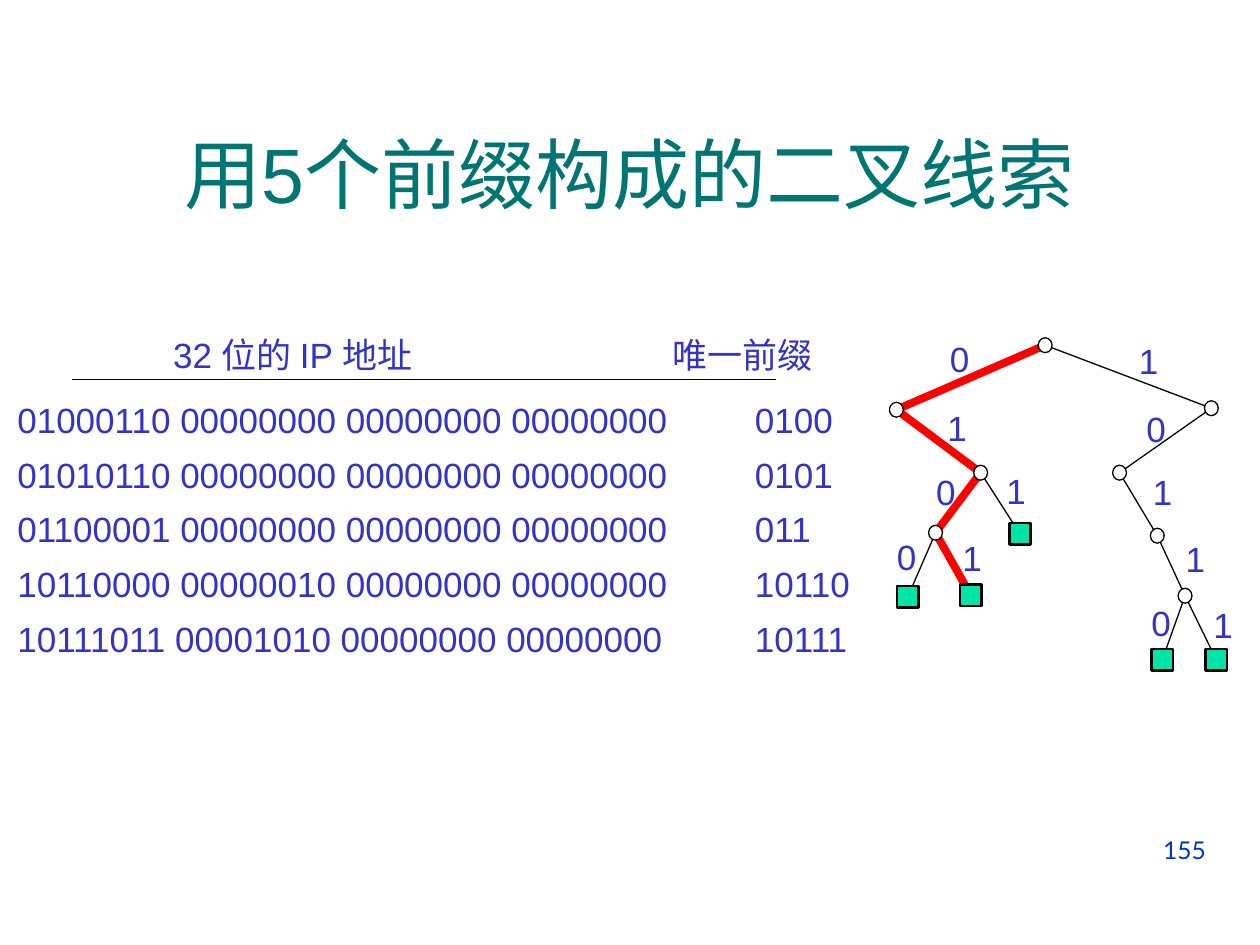
"""Build a slide showing a binary trie made from five unique address prefixes."""
from lxml import etree
from pptx import Presentation
from pptx.dml.color import RGBColor
from pptx.enum.shapes import MSO_CONNECTOR, MSO_SHAPE
from pptx.enum.text import MSO_ANCHOR, PP_ALIGN
from pptx.oxml.ns import qn
from pptx.util import Cm, Pt

STRAIGHT = MSO_CONNECTOR.STRAIGHT
OVAL, RECTANGLE = MSO_SHAPE.OVAL, MSO_SHAPE.RECTANGLE
LEFT, CENTER, RIGHT = PP_ALIGN.LEFT, PP_ALIGN.CENTER, PP_ALIGN.RIGHT
TOP, MIDDLE = MSO_ANCHOR.TOP, MSO_ANCHOR.MIDDLE
BLACK, RED, WHITE, GREEN = "000000", "FF0000", "FFFFFF", "00E4A8"


def color(hex_string):
    return RGBColor.from_string(hex_string)


def add_text(text, left, top, width, height, size=20, font="Arial", ink="3333CC",
             align=LEFT, anchor=TOP, wrap=True):
    box = slide.shapes.add_textbox(Cm(left), Cm(top), Cm(width), Cm(height))
    frame = box.text_frame
    frame.word_wrap = wrap
    frame.vertical_anchor = anchor
    for index, line in enumerate(text.split("\n")):
        para = frame.paragraphs[0] if index == 0 else frame.add_paragraph()
        para.alignment = align
        span = para.add_run()
        span.text = line
        span.font.size = Pt(size)
        span.font.name = font
        span.font.color.rgb = color(ink)
    return frame


deck = Presentation()
deck.slide_width, deck.slide_height = Cm(25.4), Cm(19.05)
slide = deck.slides.add_slide(deck.slide_layouts[6])

add_text("155", 18.21, 16.71, 6.35, 1.32, size=14, font="Lato", ink="0033CC", align=RIGHT)
add_text("用5个前缀构成的二叉线索", 0.84, 1.9, 23.72, 3.18, size=44, ink="007572",
         align=CENTER, anchor=MIDDLE)

rows = [
    ("\t32 位的 IP 地址", "唯一前缀"),
    ("01000110 00000000 00000000 00000000", "0100"),
    ("01010110 00000000 00000000 00000000", "0101"),
    ("01100001 00000000 00000000 00000000", "011"),
    ("10110000 00000010 00000000 00000000", "10110"),
    ("10111011 00001010 00000000 00000000", "10111"),
]
table_text = add_text("\n".join("\t".join(row) for row in rows), 0.1, 6.6, 17.37, 7.72)
for index, para in enumerate(table_text.paragraphs):
    tabs = etree.SubElement(para._p.get_or_add_pPr(), qn("a:tabLst"))
    for stop in ([3.14, 13.2] if index == 0 else [14.87]):
        etree.SubElement(tabs, qn("a:tab"), pos=str(Cm(stop)), algn="l")
    if index == 0:
        para.space_after = Pt(6)
    else:
        para.line_spacing = 1.3

nodes = {
    "": (21.07, 6.96), "0": (18.07, 8.26), "01": (19.77, 9.53), "010": (18.86, 10.74),
    "1": (24.42, 8.23), "10": (22.57, 9.53), "101": (23.33, 10.8), "1011": (23.89, 12.01),
}
leaves = {
    "0100": (18.3, 12.03), "0101": (19.57, 12), "011": (20.56, 10.76),
    "10110": (23.43, 13.3), "10111": (24.52, 13.3),
}
places = nodes | leaves

for target, ink, weight in [("10111", BLACK, 0.75), ("0101", RED, 4.5)]:
    points = [[Cm(value) for value in places[target[:depth]]]
              for depth in range(len(target) + 1)]
    builder = slide.shapes.build_freeform(*points[0], scale=1.0)
    builder.add_line_segments(points[1:], close=False)
    route = builder.convert_to_shape()
    route.shadow.inherit = False
    route.fill.background()
    route.line.color.rgb = color(ink)
    route.line.width = Pt(weight)

segments = [(1.45, 7.65, 15.65, 7.65)]
segments += [places[leaf[:-1]] + places[leaf] for leaf in ("0100", "011", "10110")]
for segment in segments:
    line = slide.shapes.add_connector(STRAIGHT, *[Cm(value) for value in segment])
    line.line.color.rgb = color(BLACK)
    line.line.width = Pt(0.75)
    etree.SubElement(line._element.spPr, qn("a:effectLst"))

labels = {
    "0": [(18.9, 6.68), (18.62, 9.37), (17.83, 10.67), (22.86, 8.1), (22.96, 12.01)],
    "1": [(22.71, 6.71), (18.85, 8.08), (20.04, 9.35), (19.15, 10.69), (22.99, 9.37),
          (23.65, 10.72), (24.21, 12.04)],
}
for digit, spots in labels.items():
    for left, top in spots:
        add_text(digit, left, top, 0.91, 1.09, wrap=False)

for group, kind, width, height, fill, weight in [
    (nodes, OVAL, 0.28, 0.3, WHITE, 0.75),
    (leaves, RECTANGLE, 0.43, 0.43, GREEN, 1.5),
]:
    for x, y in group.values():
        mark = slide.shapes.add_shape(kind, Cm(x - width / 2), Cm(y - height / 2),
                                      Cm(width), Cm(height))
        mark.shadow.inherit = False
        mark.fill.solid()
        mark.fill.fore_color.rgb = color(fill)
        mark.line.color.rgb = color(BLACK)
        mark.line.width = Pt(weight)

deck.save("out.pptx")
